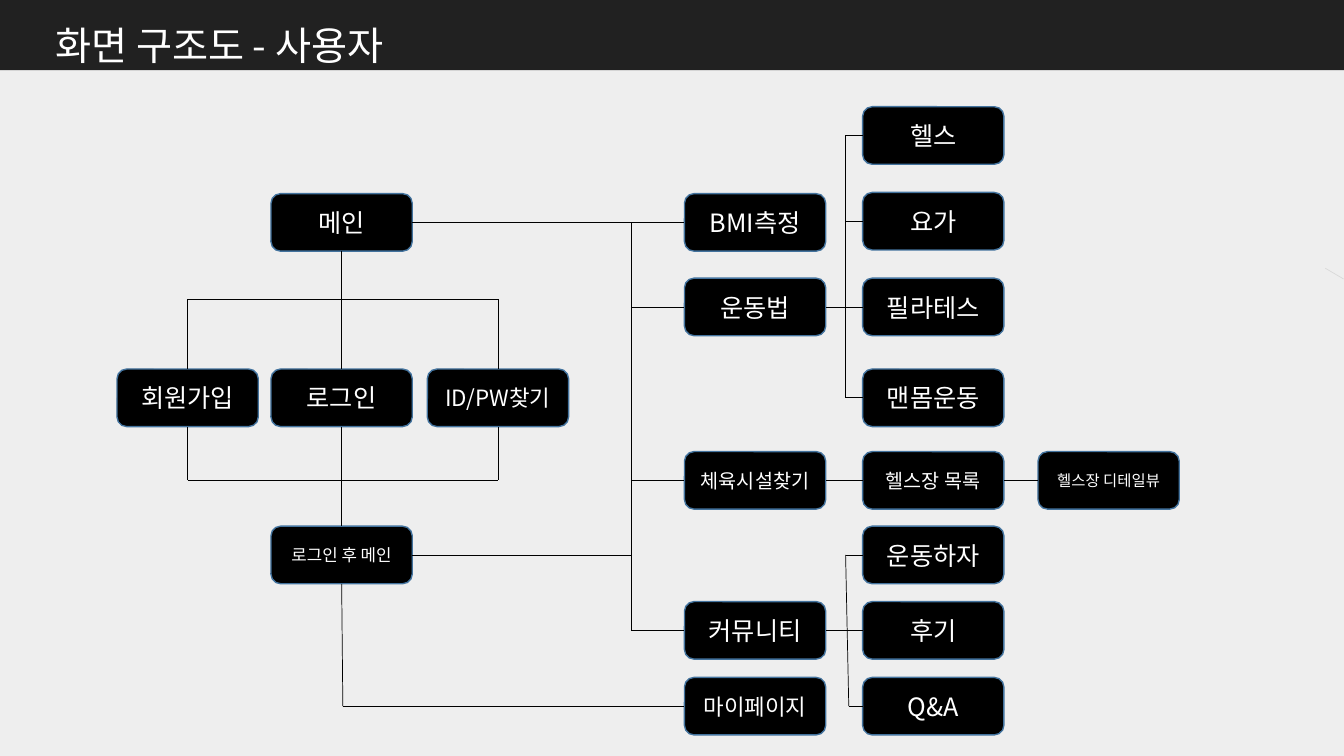
from pptx import Presentation
from pptx.dml.color import RGBColor
from pptx.enum.shapes import MSO_CONNECTOR as Conn, MSO_SHAPE as Shape
from pptx.enum.text import MSO_ANCHOR as Anchor, MSO_AUTO_SIZE as Fit, PP_ALIGN as Align
from pptx.oxml.ns import qn
from pptx.util import Cm, Pt
from lxml.etree import SubElement

WIDE, HIGH = 3.56, 1.45
JOIN, LOGIN, FIND, MENU, SUB, LEAF = 2.95, 6.83, 10.77, 17.25, 21.74, 26.16
MAIN, GUIDE, SIGN, PLACE, HOME, TALK, MINE = 4.88, 7.01, 9.3, 11.38, 13.26, 15.16, 17.07
GYM, YOGA = GUIDE - 2 * 2.16, GUIDE - 2.16
TRUNK, FORK = 15.9, 21.31

BOXES = [
    (LOGIN, MAIN, "메인", 18),
    (LOGIN, SIGN, "로그인", 18),
    (JOIN, SIGN, "회원가입", 18),
    (FIND, SIGN, "ID/PW찾기", 16),
    (LOGIN, HOME, "로그인 후 메인", 12),
    (MENU, MAIN, "BMI측정", 18),
    (MENU, PLACE, "체육시설찾기", 14),
    (MENU, GUIDE, "운동법", 18),
    (SUB, GYM, "헬스", 18),
    (SUB, YOGA, "요가", 18),
    (SUB, GUIDE, "필라테스", 18),
    (SUB, SIGN, "맨몸운동", 18),
    (SUB, PLACE, "헬스장 목록", 14),
    (LEAF, PLACE, "헬스장 디테일뷰", 11),
    (MENU, MINE, "마이페이지", 16),
    (MENU, TALK, "커뮤니티", 18),
    (SUB, HOME, "운동하자", 18),
    (SUB, TALK, "후기", 18),
    (SUB, MINE, "Q&A", 18),
]


def color(code):
    return RGBColor.from_string(code)


def mid(top):
    return top + HIGH / 2


def axis(left):
    return left + WIDE / 2


class Chart:
    """Draws styled parts of a site map on one slide."""

    font = "Noto Sans CJK KR"

    def __init__(self, slide):
        self.slide = slide
        self.shapes = slide.shapes
        slide.background.fill.solid()
        slide.background.fill.fore_color.rgb = color("EEEEEE")

    def label(self, para, text, size):
        run = para.add_run()
        run.text = text
        run.font.name = self.font
        run.font.size = Pt(size)
        run.font.color.rgb = color("FFFFFF")
        SubElement(run.font._element, qn("a:ea"), typeface=self.font)

    def block(self, kind, left, top, wide, high, fill):
        shape = self.shapes.add_shape(kind, Cm(left), Cm(top), Cm(wide), Cm(high))
        shape.shadow.inherit = False
        shape.fill.solid()
        shape.fill.fore_color.rgb = color(fill)
        shape.line.fill.background()
        return shape

    def title(self, text):
        title = self.shapes.title
        title.left, title.top, title.width, title.height = Cm(1.14), Cm(-0.18), Cm(11.6), Cm(2.06)
        self.shapes._spTree.append(title._element)
        frame = title.text_frame
        frame.word_wrap = True
        frame.auto_size = Fit.SHAPE_TO_FIT_TEXT
        frame.vertical_anchor = Anchor.TOP
        para = frame.paragraphs[0]
        para.alignment = Align.LEFT
        para.line_spacing = 1.5
        self.label(para, text, 28)

    def box(self, left, top, text, size):
        shape = self.block(Shape.ROUNDED_RECTANGLE, left, top, WIDE, HIGH, "000000")
        shape.line.color.rgb = color("43739E")
        shape.line.width = Pt(1)
        frame = shape.text_frame
        frame.word_wrap = True
        frame.vertical_anchor = Anchor.MIDDLE
        para = frame.paragraphs[0]
        para.alignment = Align.CENTER
        self.label(para, text, size)

    def line(self, x1, y1, x2, y2, tint="000000"):
        line = self.shapes.add_connector(Conn.STRAIGHT, Cm(x1), Cm(y1), Cm(x2), Cm(y2))
        line.line.color.rgb = color(tint)
        line.line.width = Pt(0.5)
        SubElement(line._element.spPr, qn("a:effectLst"))

    def across(self, left, right, y):
        self.line(left, y, right, y)

    def down(self, x, top, end):
        self.line(x, top, x, end)


def main():
    deck = Presentation()
    deck.slide_width, deck.slide_height = Cm(33.87), Cm(19.05)
    chart = Chart(deck.slides.add_slide(deck.slide_layouts[5]))

    chart.line(33.4, 6.76, 33.86, 7.03, "D9D9D9")
    chart.block(Shape.RECTANGLE, 0, -0.03, 33.87, 1.8, "212121")
    chart.title("화면 구조도 - 사용자")
    for item in BOXES:
        chart.box(*item)

    upper, lower = 7.54, mid(PLACE)
    chart.down(axis(LOGIN), MAIN + HIGH, SIGN)
    chart.down(axis(LOGIN), SIGN + HIGH, HOME)
    for left in (JOIN, FIND):
        chart.down(axis(left), upper, SIGN)
        chart.down(axis(left), SIGN + HIGH, lower)
    for y in (upper, lower):
        chart.across(axis(JOIN), axis(FIND), y)

    chart.across(LOGIN + WIDE, MENU, mid(MAIN))
    chart.across(LOGIN + WIDE, TRUNK, mid(HOME))
    chart.down(TRUNK, mid(MAIN), mid(TALK))
    for top in (GUIDE, PLACE, TALK):
        chart.across(TRUNK, MENU, mid(top))
        chart.across(MENU + WIDE, SUB, mid(top))
    chart.across(SUB + WIDE, LEAF, mid(PLACE))
    chart.line(axis(LOGIN), HOME + HIGH, 8.64, mid(MINE))
    chart.across(8.64, MENU, mid(MINE))

    chart.down(FORK, mid(GYM), mid(SIGN))
    for top in (GYM, YOGA, SIGN, HOME):
        chart.across(FORK, SUB, mid(top))
    chart.line(FORK, mid(HOME), 21.39, mid(MINE))
    chart.across(21.39, SUB, mid(MINE))

    deck.save("out.pptx")


if __name__ == "__main__":
    main()
